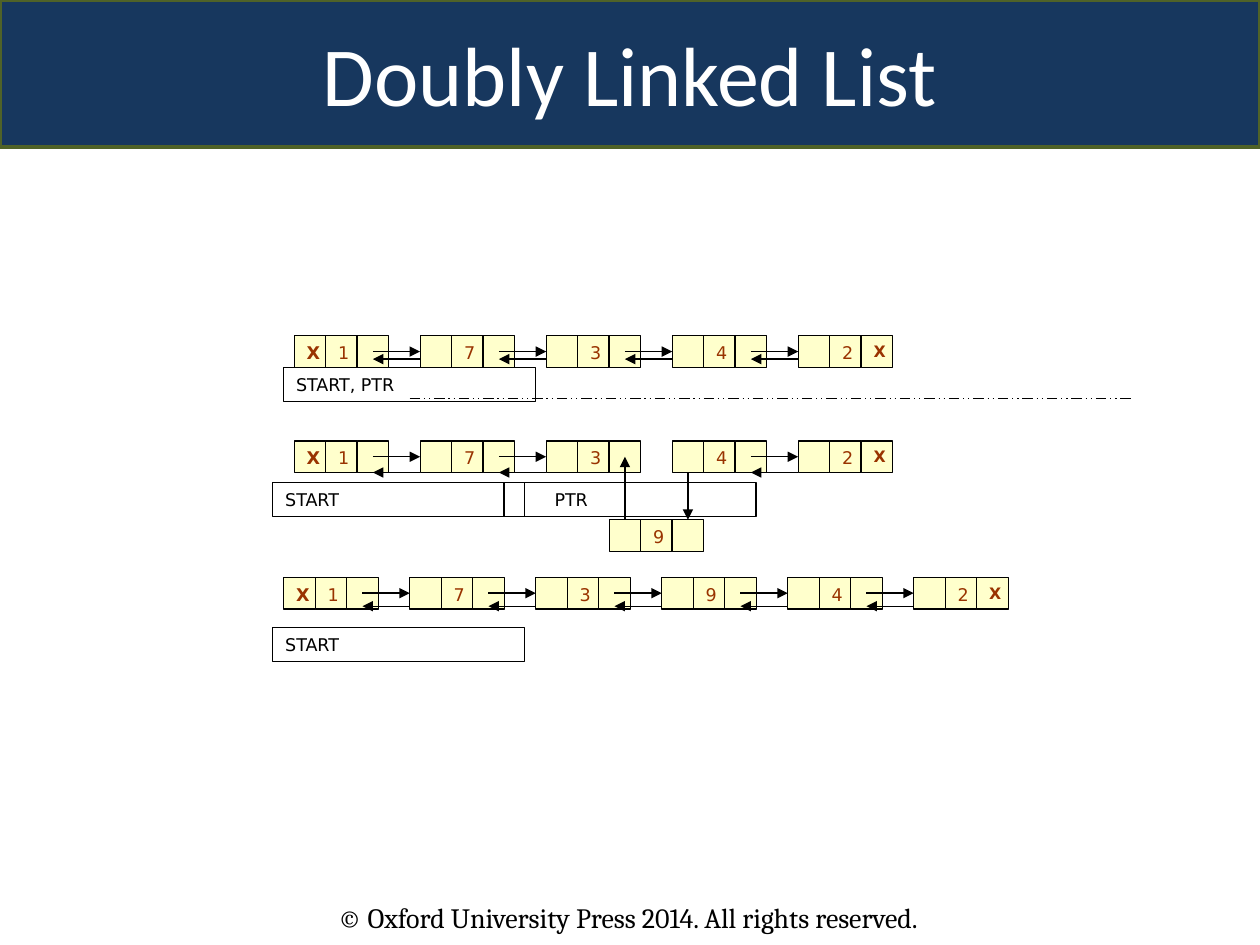
from pptx import Presentation
from pptx.dml.color import RGBColor
from pptx.enum.dml import MSO_LINE
from pptx.enum.shapes import MSO_CONNECTOR, MSO_SHAPE
from pptx.enum.text import MSO_ANCHOR, PP_ALIGN
from pptx.oxml.ns import qn
from pptx.util import Cm, Pt
from lxml import etree

NAVY = RGBColor(0x17, 0x37, 0x5E)
OLIVE = RGBColor(0x4F, 0x62, 0x28)
CREAM = RGBColor(0xFF, 0xFF, 0xCC)
RUST = RGBColor(0x99, 0x33, 0x00)
BLACK = RGBColor(0, 0, 0)
WHITE = RGBColor(0xFF, 0xFF, 0xFF)

PITCH = 2.54  # from one node to the next, in cm
CELL = PITCH / 4
DIAGRAM_FONT = "DejaVu Sans"


def write(frame, text, size, font, color, bold=False, align=PP_ALIGN.LEFT):
    paragraph = frame.paragraphs[0]
    paragraph.text = text
    paragraph.alignment = align
    paragraph.font.size = Pt(size)
    paragraph.font.name = font
    paragraph.font.color.rgb = color
    paragraph.font.bold = bold


def add_box(slide, left, top, width, height, fill=None, line=BLACK,
            weight=0.75, kind=MSO_SHAPE.RECTANGLE):
    box = slide.shapes.add_shape(kind, Cm(left), Cm(top), Cm(width), Cm(height))
    box.shadow.inherit = False
    if fill is None:
        box.fill.background()
    else:
        box.fill.solid()
        box.fill.fore_color.rgb = fill
    box.line.color.rgb = line
    box.line.width = Pt(weight)
    return box


def add_line(slide, x1, y1, x2, y2):
    line = slide.shapes.add_connector(
        MSO_CONNECTOR.STRAIGHT, Cm(x1), Cm(y1), Cm(x2), Cm(y2))
    line.line.color.rgb = BLACK
    line.line.width = Pt(0.75)
    etree.SubElement(line._element.spPr, qn("a:effectLst"))
    return line


def add_arrow(slide, x1, y1, x2, y2):
    arrow = add_line(slide, x1, y1, x2, y2)
    etree.SubElement(arrow.line._get_or_add_ln(), qn("a:tailEnd"), type="triangle")


def add_title(slide, left, top, width, height):
    banner = add_box(slide, left, top, width, height, NAVY, OLIVE, 2,
                     MSO_SHAPE.ROUNDED_RECTANGLE)
    banner.adjustments[0] = 0
    banner.text_frame.vertical_anchor = MSO_ANCHOR.MIDDLE
    write(banner.text_frame, "Doubly Linked List", 48, "Calibri", WHITE,
          align=PP_ALIGN.CENTER)


def add_footer(slide, left, top, width, height):
    footer = slide.shapes.add_textbox(Cm(left), Cm(top), Cm(width), Cm(height))
    footer.text_frame.word_wrap = True
    write(footer.text_frame, "© Oxford University Press 2014. All rights reserved.",
          16, "Cambria", BLACK)


def add_node(slide, left, top, value, previous="", following=""):
    """Draw the previous-link, value and next-link cells of one node."""
    cells = [(previous, 10, True), (value, 10, False), (following, 9, True)]
    for column, (text, size, bold) in enumerate(cells):
        cell = add_box(slide, left + column * CELL, top, CELL, CELL, CREAM)
        cell.text_frame.vertical_anchor = MSO_ANCHOR.TOP
        if text:
            write(cell.text_frame, text, size, DIAGRAM_FONT, RUST, bold)


def add_list(slide, left, top, values, back_drop, unlinked=()):
    """Draw a linked list; back_drop is how far below top the back arrows run,
    unlinked holds the values that have no link to the next node."""
    last = len(values) - 1
    for index, value in enumerate(values):
        add_node(slide, left + index * PITCH, top, value,
                 "X" if index == 0 else "", "X" if index == last else "")
    for index, value in enumerate(values[:-1]):
        if value in unlinked:
            continue
        tail = left + index * PITCH + 2.5 * CELL
        head = left + (index + 1) * PITCH
        add_arrow(slide, tail, top + CELL / 2, head, top + CELL / 2)
        add_arrow(slide, head, top + back_drop, tail, top + back_drop)


def add_new_node(slide, left, top):
    """Draw node 9 below a list at (left, top), linked to nodes 3 and 4."""
    node_left, node_top = left + 2.5 * PITCH, top + 2.5 * CELL
    add_node(slide, node_left, node_top, "9")
    up, down = node_left + CELL / 2, node_left + 2.5 * CELL
    add_arrow(slide, up, node_top, up, top + CELL / 2)
    add_arrow(slide, down, top + CELL, down, node_top)


def add_pointer(slide, left, top, name, inset=0.25):
    pointer = add_box(slide, left, top, 5.08, 0.68)
    pointer.text_frame.vertical_anchor = MSO_ANCHOR.MIDDLE
    pointer.text_frame.margin_left = Cm(inset)
    write(pointer.text_frame, name, 10, DIAGRAM_FONT, BLACK)


def add_divider(slide, left, top, width):
    divider = add_line(slide, left, top, left + width, top)
    divider.line.dash_style = MSO_LINE.DASH_DOT_DOT


def main():
    deck = Presentation()
    deck.slide_width, deck.slide_height = Cm(25.4), Cm(19.05)
    slide = deck.slides.add_slide(deck.slide_layouts[6])

    add_footer(slide, 6.56, 18.03, 15.04, 0.94)
    add_title(slide, 0, 0, 25.4, 2.96)

    add_list(slide, 5.93, 6.77, "17342", back_drop=0.47)
    add_pointer(slide, 5.72, 7.41, "START, PTR")
    add_divider(slide, 8.26, 8.04, 14.6)

    add_list(slide, 5.93, 8.89, "17342", back_drop=CELL, unlinked="3")
    add_new_node(slide, 5.93, 8.89)

    add_list(slide, 5.72, 11.64, "173942", back_drop=0.58)
    add_pointer(slide, 5.5, 12.65, "START")

    add_pointer(slide, 5.5, 9.73, "START")
    add_pointer(slide, 10.16, 9.73, "PTR", inset=1.02)

    deck.save("out.pptx")


if __name__ == "__main__":
    main()
